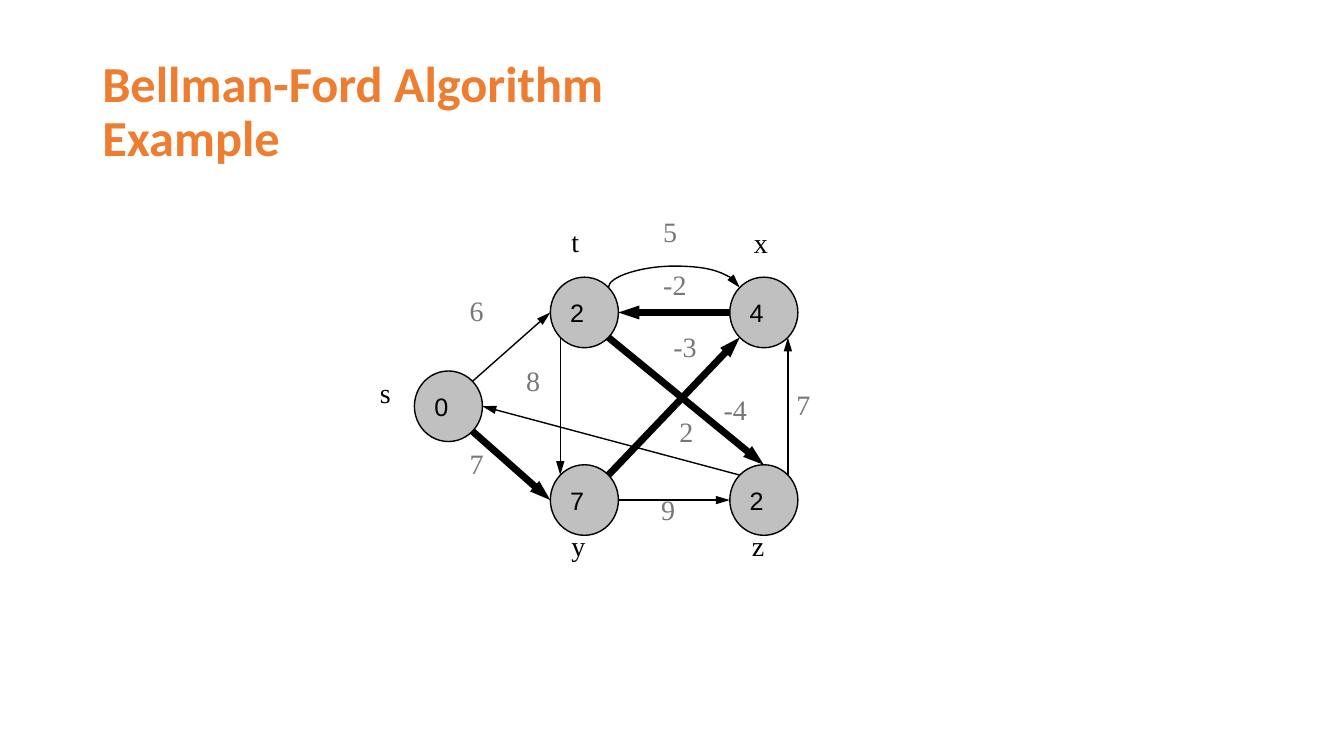
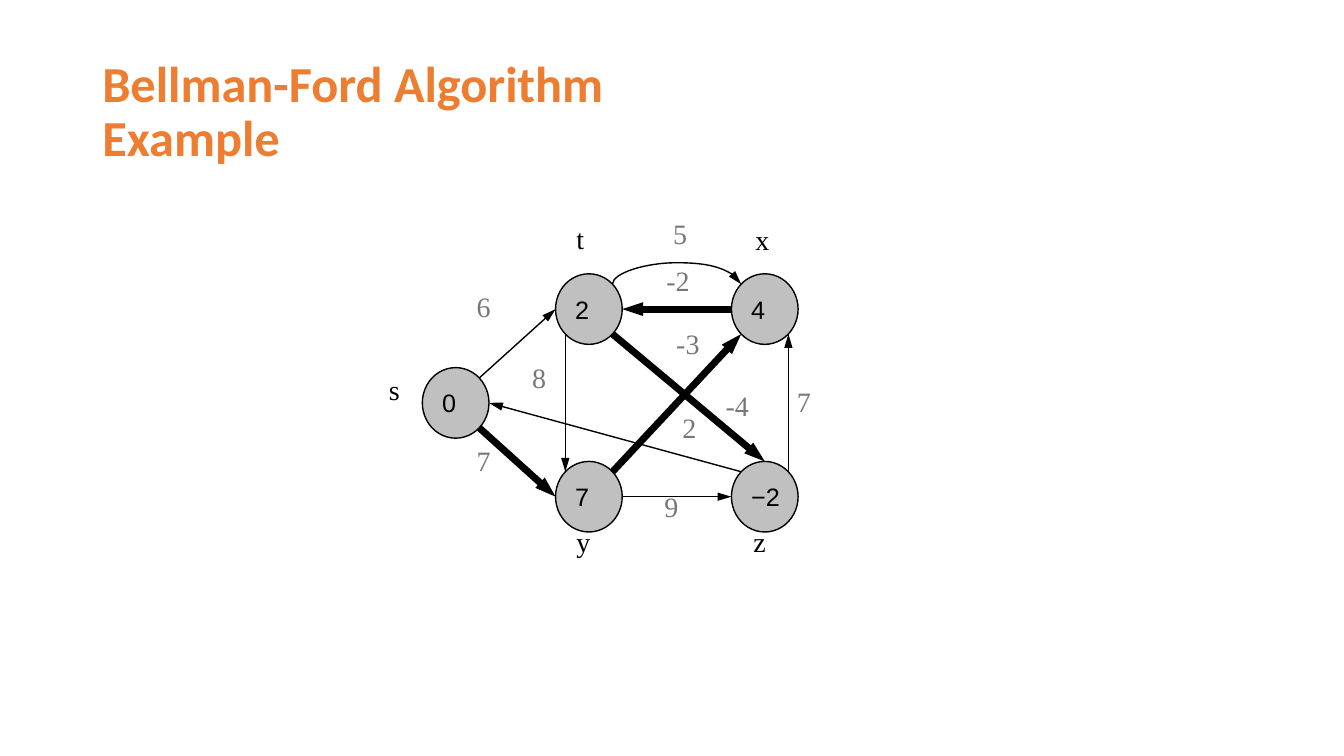
from pptx import Presentation
from pptx.dml.color import RGBColor
from pptx.enum import shapes, text
from pptx.oxml.ns import qn
from pptx.util import Pt
from lxml import etree

ORANGE = RGBColor(0xED, 0x7D, 0x31)
GREY = RGBColor(0x77, 0x77, 0x77)
SILVER = RGBColor(0xC0, 0xC0, 0xC0)
BLACK = RGBColor(0, 0, 0)

TITLE = ("Bellman-Ford Algorithm", "Example")

# Graph places are offsets from the top left corner of the node grid.
WIDE, HIGH = 48.6, 50.4
COLS = (0, 97.1, 225.3)
PITCH = 67
NODES = {"t": (1, 0), "x": (2, 0), "y": (1, 2), "z": (2, 2), "s": (0, 1)}

NEAR, FAR = 0.146, 0.854  # where a diagonal meets the ellipse
PORTS = {"n": (0.5, 0), "w": (0, 0.5), "e": (1, 0.5), "nw": (NEAR, NEAR),
         "ne": (FAR, NEAR), "sw": (NEAR, FAR), "se": (FAR, FAR)}

THIN, THICK = 1, 5
HEADS = {THIN: ("med", "lg"), THICK: ("sm", "med")}
EDGES = [
    ("t", "sw", "y", "nw", THIN),
    ("y", "ne", "x", "sw", THICK),
    ("z", "ne", "x", "se", THIN),
    ("y", "e", "z", "w", THIN),
    ("z", "nw", "s", "e", THIN),
    ("s", "se", "y", "w", THICK),
    ("s", "ne", "t", "w", THIN),
    ("x", "w", "t", "e", THICK),
    ("t", "se", "z", "n", THICK),
]
NAMES = [("s", -31.7, 67), ("z", 234, 175.7), ("y", 105.1, 175.7),
         ("x", 235.4, -40.3), ("t", 105.1, -41)]
COSTS = [("6", 32.4, 7.9), ("7", 32.4, 117.4), ("8", 72.7, 58.3),
         ("-3", 177.8, 33.8), ("7", 265.7, 75.6), ("2", 182.2, 94.3),
         ("9", 169.2, 150.5), ("-2", 170.6, -10.8), ("-4", 213.8, 78.5)]

# Each slide: grid corner, horizontal scale, node values, place of cost 5
SLIDES = [
    dict(left=296, top=198, scale=1, arc=(170.6, -48.2),
         vals={"t": "2", "x": "4", "y": "7", "z": "2", "s": "0"}),
    dict(left=301.7, top=195.6, scale=0.98, arc=(175.6, -44.6),
         vals={"t": "2", "x": "4", "y": "7", "z": "−2", "s": "0"}),
]


def add_run(para, words, face, size, color, bold=False):
    run = para.add_run()
    run.text = words
    font = run.font
    font.name, font.size, font.bold = face, Pt(size), bold
    font.color.rgb = color


def add_title(slide):
    box = slide.shapes.add_textbox(Pt(66), Pt(28.75), Pt(828), Pt(104.4))
    frame = box.text_frame
    frame.word_wrap = True
    frame.vertical_anchor = text.MSO_ANCHOR.MIDDLE
    para = frame.paragraphs[0]
    para.line_spacing = 0.9
    for i, words in enumerate(TITLE):
        if i:
            para.add_line_break()
        add_run(para, words, "Calibri", 36, ORANGE, True)


def style_line(link, width):
    """Give a connector its colour, width and arrowhead, without a shadow."""
    link.line.color.rgb = BLACK
    link.line.width = Pt(width)
    w, size = HEADS[width]
    etree.SubElement(link.line._get_or_add_ln(), qn("a:tailEnd"),
                     type="triangle", w=w, len=size)
    etree.SubElement(link._element.spPr, qn("a:effectLst"))


class Graph:
    def __init__(self, slide, left, top, scale, vals, arc):
        self.shapes = slide.shapes
        self.left, self.top, self.scale = left, top, scale
        for node, words in vals.items():
            self.add_node(node, words)
        for edge in EDGES:
            self.add_edge(*edge)
        self.add_arc("t", "x")
        for group, color in ((NAMES, BLACK), (COSTS + [("5", *arc)], GREY)):
            for words, x, y in group:
                self.add_label(words, x, y, color)

    def place(self, x, y):
        return self.left + x * self.scale, self.top + y

    def port(self, node, side):
        col, row = NODES[node]
        fx, fy = PORTS[side]
        return self.place(COLS[col] + fx * WIDE, row * PITCH + fy * HIGH)

    def add_node(self, node, words):
        col, row = NODES[node]
        x, y = self.place(COLS[col], row * PITCH)
        oval = self.shapes.add_shape(shapes.MSO_SHAPE.OVAL, Pt(x), Pt(y),
                                     Pt(WIDE * self.scale), Pt(HIGH))
        oval.shadow.inherit = False
        oval.fill.solid()
        oval.fill.fore_color.rgb = SILVER
        oval.line.color.rgb = BLACK
        oval.line.width = Pt(THIN)
        frame = oval.text_frame
        frame.word_wrap = False
        frame.vertical_anchor = text.MSO_ANCHOR.MIDDLE
        para = frame.paragraphs[0]
        para.alignment = text.PP_ALIGN.LEFT
        add_run(para, words, "Arial", 18, BLACK)

    def add_edge(self, start, out, end, into, width):
        ends = self.port(start, out) + self.port(end, into)
        link = self.shapes.add_connector(shapes.MSO_CONNECTOR.STRAIGHT,
                                         *map(Pt, ends))
        style_line(link, width)

    def add_arc(self, start, end):
        """Curve over the top: a flat connector turned by a quarter."""
        x1, y = self.port(start, "ne")
        x2, _ = self.port(end, "nw")
        mid, half, flat, rise = (x1 + x2) / 2, (x2 - x1) / 2, 0.17, 15.2
        link = self.shapes.add_connector(
            shapes.MSO_CONNECTOR.CURVE, Pt(mid - flat / 2), Pt(y + half),
            Pt(mid + flat / 2), Pt(y - half))
        link._element.spPr.find(qn("a:xfrm")).set("rot", "5400000")
        geom = link._element.spPr.find(qn("a:prstGeom"))
        bends = geom.find(qn("a:avLst"))
        if bends is None:
            bends = etree.SubElement(geom, qn("a:avLst"))
        etree.SubElement(bends, qn("a:gd"), name="adj1",
                         fmla=f"val {round(-rise / flat * 100000)}")
        style_line(link, THIN)

    def add_label(self, words, x, y, color):
        x, y = self.place(x, y)
        box = self.shapes.add_textbox(Pt(x), Pt(y), Pt(46), Pt(31))
        box.text_frame.word_wrap = True
        add_run(box.text_frame.paragraphs[0], words,
                "Times New Roman", 20, color)


def main():
    deck = Presentation()
    deck.slide_width, deck.slide_height = Pt(960), Pt(540)
    for data in SLIDES:
        slide = deck.slides.add_slide(deck.slide_layouts[6])
        add_title(slide)
        Graph(slide, **data)
    deck.save("out.pptx")


if __name__ == "__main__":
    main()
